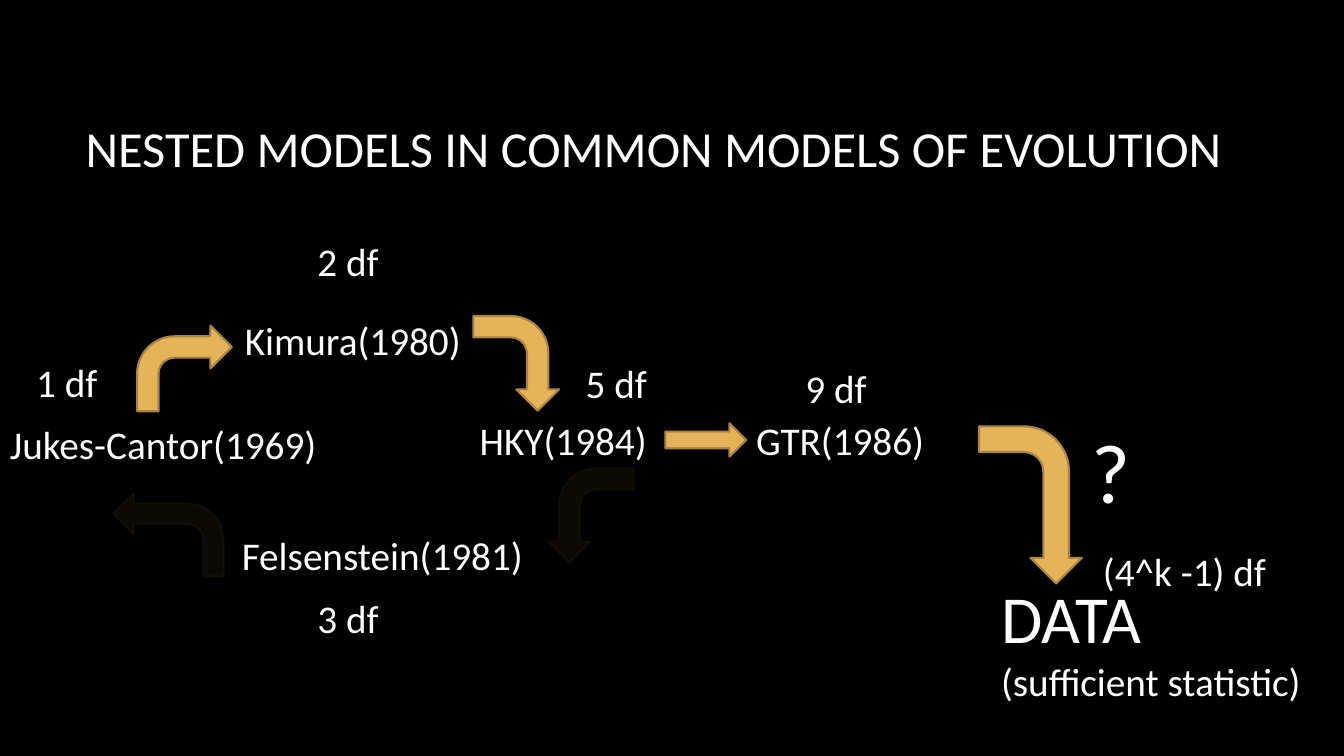
from lxml import etree
from pptx import Presentation
from pptx.dml.color import RGBColor
from pptx.enum.shapes import MSO_SHAPE
from pptx.enum.text import MSO_ANCHOR
from pptx.oxml.ns import qn
from pptx.util import Emu, Pt

PX = 9144
BENT = MSO_SHAPE.BENT_ARROW
RIGHT = MSO_SHAPE.RIGHT_ARROW
MIDDLE = MSO_ANCHOR.MIDDLE
BLACK, WHITE, GOLD, BRONZE = "000000", "FFFFFF", "E5B458", "A98541"
FONT = {"name": "Calibri", "size": Pt(28)}

LABELS = [
    ("Jukes-Cantor(1969)", (0, 412, 334, 57)),
    ("Felsenstein(1981)", (230, 522, 308, 57)),
    ("Kimura(1980)", (233, 309, 243, 57)),
    ("HKY(1984)", (466, 408, 194, 57)),
    ("GTR(1986)", (740, 408, 195, 57)),
    ("1 df", (26, 351, 100, 57)),
    ("2 df", (305, 231, 100, 57)),
    ("3 df", (305, 585, 100, 57)),
    ("5 df", (571, 352, 100, 57)),
    ("9 df", (789, 357, 100, 57)),
    ("(4^k -1) df", (1084, 538, 249, 57)),
]

ARROWS = [
    (BENT, (136, 323, 94, 85), 0),
    (BENT, (465, 318, 94, 85), 90),
    (RIGHT, (660, 420, 80, 33), 0),
    (BENT, (944, 450, 156, 102), 90),
]

FADED = [
    (BENT, (539, 469, 94, 85), 90, "flipV"),
    (BENT, (112, 489, 110, 83), 0, "flipH"),
]


def px(*nums):
    return [Emu(num * PX) for num in nums]


def paint(fill, tone):
    fill.solid()
    fill.fore_color.rgb = RGBColor.from_string(tone)


def style(font, **extra):
    for key, value in {**FONT, **extra}.items():
        setattr(font, key, value)
    font.color.rgb = RGBColor.from_string(WHITE)


def write(slide, rows, area, anchor=None):
    frame = slide.shapes.add_textbox(*px(*area)).text_frame
    frame.word_wrap = True
    frame.vertical_anchor = anchor
    for index, (text, size) in enumerate(rows):
        para = frame.add_paragraph() if index else frame.paragraphs[0]
        run = para.add_run()
        run.text = text
        style(run.font, size=Pt(size))


def arrow(slide, kind, area, turn):
    shape = slide.shapes.add_shape(kind, *px(*area))
    shape.shadow.inherit = False
    shape.rotation = turn
    paint(shape.fill, GOLD)
    paint(shape.line.fill, BRONZE)
    shape.line.width = Pt(1.5)
    return shape


def fade(shape, flip):
    props = shape._element.spPr
    props.xfrm.set(flip, "1")
    for tone in props.iter(qn("a:srgbClr")):
        etree.SubElement(tone, qn("a:alpha")).set("val", "6000")


def main():
    deck = Presentation()
    deck.slide_width, deck.slide_height = px(1333, 750)
    slide = deck.slides.add_slide(deck.slide_layouts[6])
    paint(slide.background.fill, BLACK)
    title = "NESTED MODELS IN COMMON MODELS OF EVOLUTION"
    write(slide, [(title, 36)], (75, 67, 1258, 159), MIDDLE)
    for kind, area, turn in ARROWS:
        arrow(slide, kind, area, turn)
    for kind, area, turn, flip in FADED:
        fade(arrow(slide, kind, area, turn), flip)
    for text, area in LABELS:
        write(slide, [(text, 28)], area)
    data = [("DATA", 48), ("(sufficient statistic)", 28)]
    write(slide, data, (983, 567, 319, 138))
    write(slide, [("?", 60)], (1073, 411, 138, 111))
    deck.save("out.pptx")


if __name__ == "__main__":
    main()
